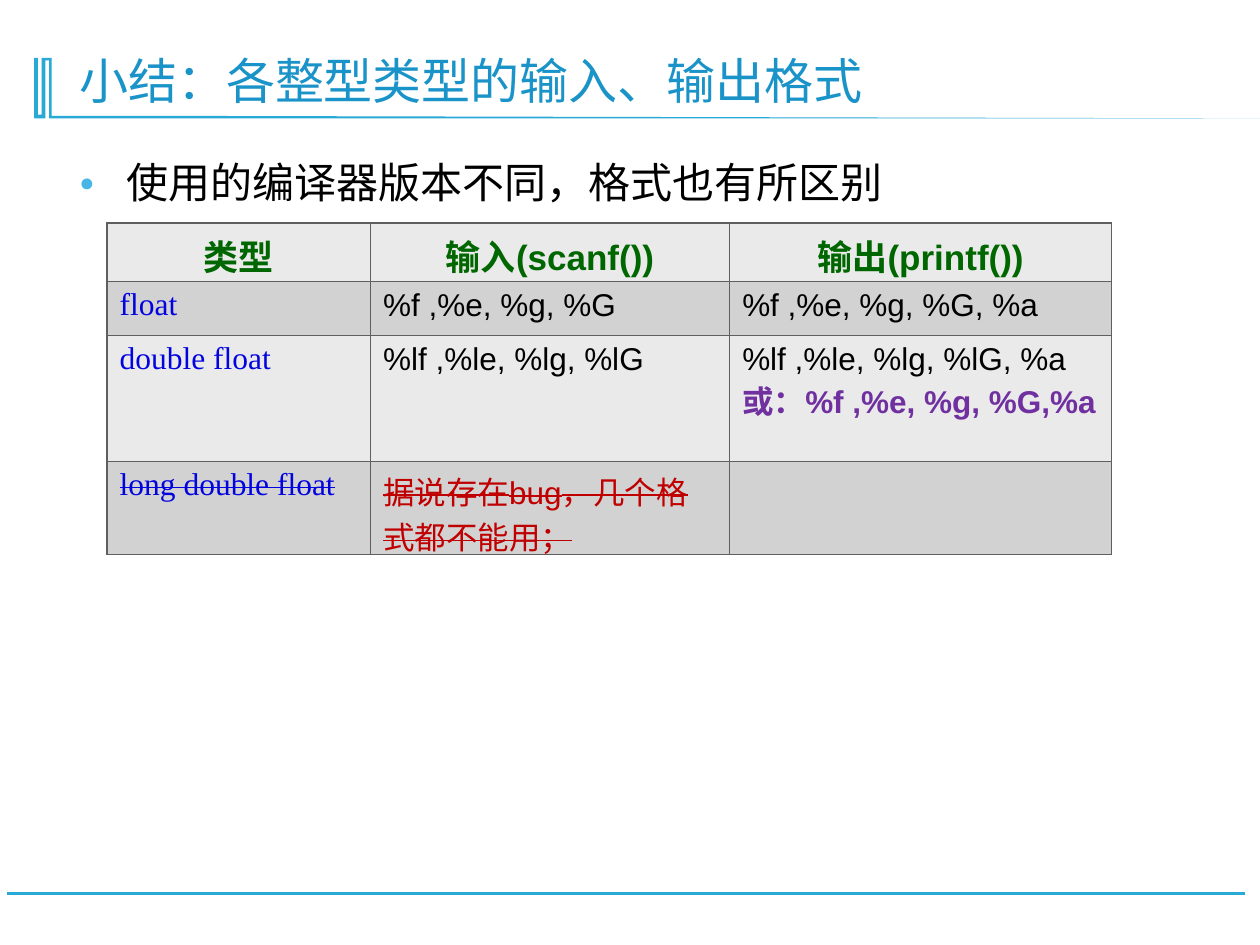
from dataclasses import dataclass

from lxml.etree import SubElement
from pptx import Presentation
from pptx.dml.color import RGBColor as RGB
from pptx.enum.shapes import MSO_CONNECTOR as CONN
from pptx.enum.text import MSO_ANCHOR as ANCHOR, PP_ALIGN as ALIGN
from pptx.oxml.ns import qn
from pptx.util import Cm, Pt


@dataclass(frozen=True)
class Theme:
    accent: str = "28A9D6"
    title: str = "1A93C8"
    bullet: str = "47B6E7"
    head: str = "006600"
    keyword: str = "0303DF"
    note: str = "7030A0"
    warning: str = "C00000"
    text: str = "000000"
    border: str = "5F5F5F"
    bands: tuple[str, str] = ("EAEAEA", "D2D2D2")
    sans: str = "Arial"
    serif: str = "Times New Roman"
    title_size: int = 28
    body_size: int = 24
    head_size: int = 20
    cell_size: int = 18


T = Theme()


@dataclass(frozen=True)
class Style:
    font: str = T.sans
    size: int = T.cell_size
    color: str = T.text
    bold: bool = False
    strike: bool = False
    align: ALIGN = ALIGN.LEFT


@dataclass(frozen=True)
class Line:
    text: str
    style: Style = Style()


HEAD = Style(size=T.head_size, color=T.head, bold=True, align=ALIGN.CENTER)
TYPE = Style(font=T.serif, color=T.keyword)
OLD_TYPE = Style(font=T.serif, color=T.keyword, strike=True)
NOTE = Style(color=T.note, bold=True)
WARNING = Style(color=T.warning, strike=True)

# Each cell is a list of lines
ROWS = [
    [[Line("类型", HEAD)], [Line("输入(scanf())", HEAD)], [Line("输出(printf())", HEAD)]],
    [[Line("float", TYPE)], [Line("%f ,%e, %g, %G")], [Line("%f ,%e, %g, %G, %a")]],
    [[Line("double float", TYPE)], [Line("%lf ,%le, %lg, %lG")],
     [Line("%lf ,%le, %lg, %lG, %a"), Line("或：%f ,%e, %g, %G,%a", NOTE)]],
    [[Line("long double float", OLD_TYPE)],
     [Line("据说存在bug，几个格式都不能用；", WARNING)], [Line("")]],
]
COL_WIDTHS = (5.31, 7.24, 7.7)
ROW_HEIGHTS = (1.17, 1.09, 1.09, 1.88)

# Title ornament outline, in hundredths of an inch
ORNAMENT = [
    (41, 46), (41, 92), (140, 92), (1009, 94), (39, 94), (39, 48), (36, 48),
    (36, 94), (27, 94), (27, 46), (30, 46), (30, 91), (33, 91), (33, 46),
]


def write_line(p, line: Line) -> None:
    st = line.style
    p.alignment = st.align
    r = p.add_run()
    r.text = line.text
    for name, value in {"name": st.font, "size": Pt(st.size), "bold": st.bold}.items():
        setattr(r.font, name, value)
    r.font.color.rgb = RGB.from_string(st.color)
    if st.strike:
        r.font._element.set("strike", "sngStrike")


def add_text(s, top: float, height: float, line: Line, anchor: ANCHOR):
    sp = s.shapes.add_textbox(Cm(1.35), Cm(top), Cm(22.48), Cm(height))
    tf = sp.text_frame
    tf.word_wrap = True
    tf.vertical_anchor = anchor
    p = tf.paragraphs[0]
    p.line_spacing = 0.9
    write_line(p, line)
    return p


def add_bullet(p) -> None:
    pPr = p._p.get_or_add_pPr()
    pPr.set("marL", str(Cm(0.96)))
    pPr.set("indent", str(-Cm(0.96)))
    color = SubElement(pPr, qn("a:buClr"))
    SubElement(color, qn("a:srgbClr"), val=T.bullet)
    SubElement(pPr, qn("a:buSzPct"), val="60000")
    SubElement(pPr, qn("a:buFont"), typeface=T.sans)
    SubElement(pPr, qn("a:buChar"), char="●")


def set_borders(cell) -> None:
    tcPr = cell._tc.get_or_add_tcPr()
    for i, side in enumerate(("lnL", "lnR", "lnT", "lnB")):
        ln = tcPr.makeelement(qn(f"a:{side}"), {"w": str(Pt(1))})
        fill = SubElement(ln, qn("a:solidFill"))
        SubElement(fill, qn("a:srgbClr"), val=T.border)
        tcPr.insert(i, ln)


def add_format_table(s) -> None:
    shape = s.shapes.add_table(len(ROWS), len(COL_WIDTHS), Cm(2.16), Cm(4.5),
                               Cm(sum(COL_WIDTHS)), Cm(sum(ROW_HEIGHTS)))
    table = shape.table
    for col, width in zip(table.columns, COL_WIDTHS):
        col.width = Cm(width)
    for i, (row, height) in enumerate(zip(table.rows, ROW_HEIGHTS)):
        row.height = Cm(height)
        for cell, lines in zip(row.cells, ROWS[i]):
            cell.fill.solid()
            cell.fill.fore_color.rgb = RGB.from_string(T.bands[i % 2])
            set_borders(cell)
            tf = cell.text_frame
            for j, line in enumerate(lines):
                write_line(tf.add_paragraph() if j else tf.paragraphs[0], line)


def add_decoration(s) -> None:
    # Footer rule
    rule = s.shapes.add_connector(CONN.STRAIGHT, Cm(25.1), Cm(18.01), Cm(0.15), Cm(18.01))
    rule.line.color.rgb = RGB.from_string(T.accent)
    rule.line.width = Pt(1.25)
    SubElement(rule._element.spPr, qn("a:effectLst"))
    # Bars and tapering underline beside the title
    fb = s.shapes.build_freeform(*ORNAMENT[0], scale=Cm(0.0254))
    fb.add_line_segments(ORNAMENT[1:], close=True)
    sp = fb.convert_to_shape()
    sp.shadow.inherit = False
    sp.fill.solid()
    sp.fill.fore_color.rgb = RGB.from_string(T.accent)
    sp.line.fill.background()


def main() -> None:
    prs = Presentation()
    prs.slide_width, prs.slide_height = Cm(25.4), Cm(19.05)
    s = prs.slides.add_slide(prs.slide_layouts[6])

    add_decoration(s)
    # Title
    title = Style(font=T.serif, size=T.title_size, color=T.title)
    add_text(s, 0.71, 1.63, Line("小结：各整型类型的输入、输出格式", title), ANCHOR.BOTTOM)
    # Table and the remark above it
    add_format_table(s)
    body = Style(font=T.serif, size=T.body_size)
    add_bullet(add_text(s, 3.15, 1.27, Line("使用的编译器版本不同，格式也有所区别", body), ANCHOR.TOP))

    prs.save("out.pptx")


if __name__ == "__main__":
    main()
